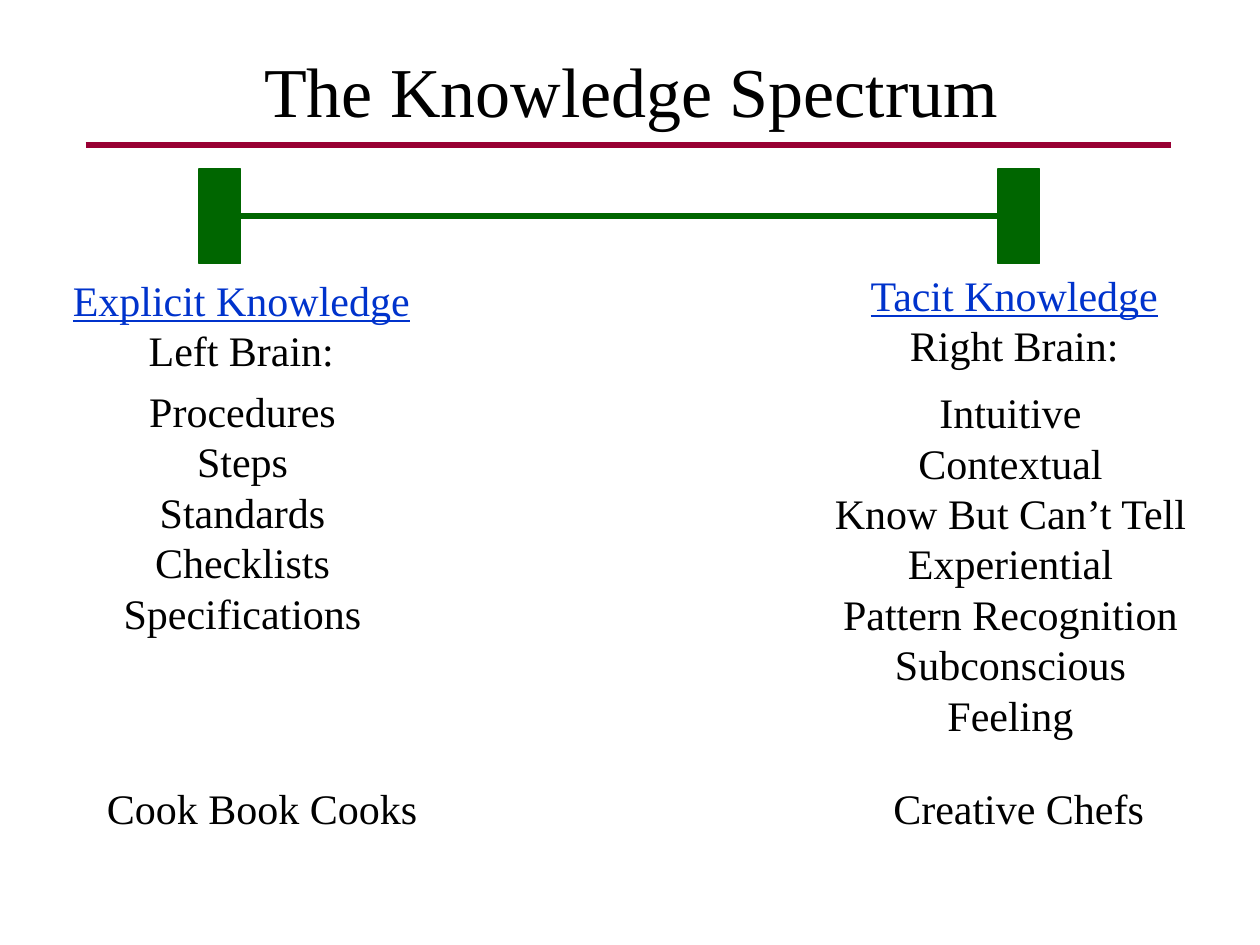
from lxml import etree
from pptx import Presentation
from pptx.dml.color import RGBColor
from pptx.enum.shapes import MSO_CONNECTOR, MSO_SHAPE
from pptx.enum.text import MSO_ANCHOR, MSO_AUTO_SIZE, PP_ALIGN
from pptx.oxml.ns import qn
from pptx.util import Inches, Pt

STRAIGHT = MSO_CONNECTOR.STRAIGHT
RECTANGLE = MSO_SHAPE.RECTANGLE
TOP = MSO_ANCHOR.TOP
FIT_SHAPE = MSO_AUTO_SIZE.SHAPE_TO_FIT_TEXT
CENTER = PP_ALIGN.CENTER

BLACK = RGBColor(0x00, 0x00, 0x00)
BLUE = RGBColor(0x00, 0x33, 0xCC)
GREEN = RGBColor(0x00, 0x66, 0x00)
CRIMSON = RGBColor(0x99, 0x00, 0x33)
FONT = "Times New Roman"
SLACK = 0.04  # extra room on each side, so that no line breaks

EXPLICIT_TRAITS = ["Procedures", "Steps", "Standards", "Checklists", "Specifications"]
TACIT_TRAITS = ["Intuitive", "Contextual", "Know But Can’t Tell", "Experiential",
                "Pattern Recognition", "Subconscious", "Feeling"]


def add_text(page, left, top, width, height, lines, size=24, heading=False):
    """Add one centred paragraph per line; a heading underlines its first line in blue."""
    box = page.shapes.add_textbox(Inches(left - SLACK), Inches(top),
                                  Inches(width + 2 * SLACK), Inches(height))
    frame = box.text_frame
    frame.word_wrap = False
    frame.auto_size = FIT_SHAPE
    frame.vertical_anchor = TOP
    for index, line in enumerate(lines):
        para = frame.add_paragraph() if index else frame.paragraphs[0]
        para.alignment = CENTER
        span = para.add_run()
        span.text = line
        is_heading_line = heading and index == 0
        span.font.name = FONT
        span.font.size = Pt(size)
        span.font.underline = is_heading_line
        span.font.color.rgb = BLUE if is_heading_line else BLACK


def add_end_block(page, left):
    block = page.shapes.add_shape(RECTANGLE, Inches(left), Inches(1.34),
                                  Inches(0.33), Inches(0.75))
    block.shadow.inherit = False
    block.fill.solid()
    block.fill.fore_color.rgb = GREEN
    block.line.color.rgb = GREEN
    block.line.width = Pt(0.75)
    return block


def add_rule(page, start, end, y, color):
    rule = page.shapes.add_connector(STRAIGHT, Inches(start), Inches(y),
                                     Inches(end), Inches(y))
    rule.line.color.rgb = color
    rule.line.width = Pt(3)
    etree.SubElement(rule._element.spPr, qn("a:effectLst"))
    return rule


def main():
    deck = Presentation()
    deck.slide_width, deck.slide_height = Inches(10), Inches(7.5)
    page = deck.slides.add_slide(deck.slide_layouts[6])

    # Title and rule
    add_text(page, 2, 0.33, 6.02, 0.77, ["The Knowledge Spectrum"], size=40)
    add_rule(page, 0.68, 9.29, 1.15, CRIMSON)

    # Spectrum bar
    explicit_end = add_end_block(page, 1.58)
    tacit_end = add_end_block(page, 7.92)
    spectrum = add_rule(page, 1.91, 7.92, 1.72, GREEN)
    spectrum.begin_connect(explicit_end, 3)
    spectrum.end_connect(tacit_end, 1)

    # Explicit side
    add_text(page, 0.48, 2.13, 2.87, 1.3, ["Explicit Knowledge", "Left Brain:"], heading=True)
    add_text(page, 0.88, 3.01, 2.09, 2.1, EXPLICIT_TRAITS)
    add_text(page, 0.75, 6.16, 2.66, 0.5, ["Cook Book Cooks"])

    # Tacit side
    add_text(page, 6.8, 2.09, 2.5, 1.3, ["Tacit Knowledge", "Right Brain:"], heading=True)
    add_text(page, 6.51, 3.02, 3.02, 2.9, TACIT_TRAITS)
    add_text(page, 6.99, 6.16, 2.19, 0.5, ["Creative Chefs"])

    deck.save("out.pptx")


if __name__ == "__main__":
    main()
